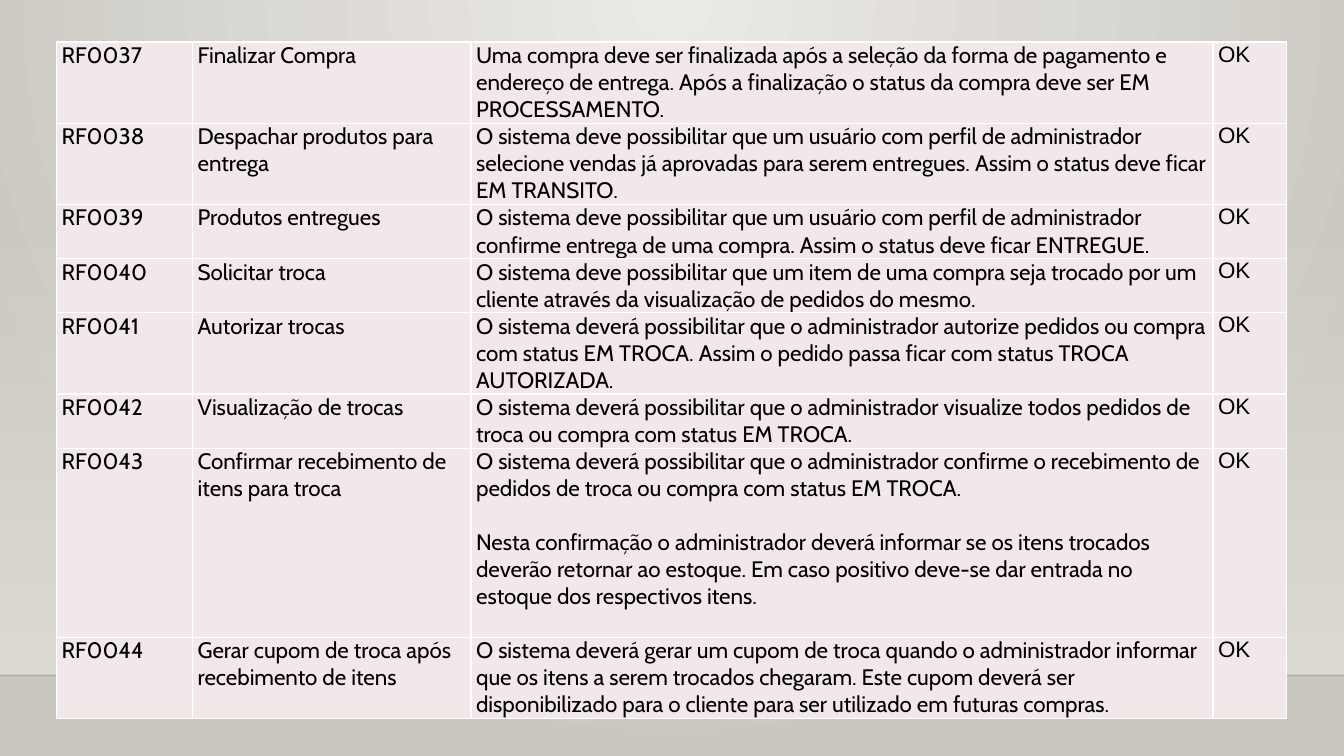
from lxml.etree import SubElement
from pptx import Presentation
from pptx.dml.color import RGBColor
from pptx.enum.shapes import MSO_CONNECTOR as Connector, MSO_SHAPE as Shape
from pptx.enum.text import MSO_ANCHOR as Anchor
from pptx.oxml import parse_xml
from pptx.oxml.ns import nsdecls, qn
from pptx.util import Pt

WIDTH, HEIGHT = 960, 540
FLOOR_TOP = 482.4
TABLE_LEFT, TABLE_TOP = 40.4, 30
COLUMNS = [97.2, 198.9, 530, 52.5]
LINE_HEIGHT = 19.3
FIRST_NUMBER = 37

# Title, paragraphs of the description, row height in text lines
REQUIREMENTS = [
    ("Finalizar Compra",
     ["Uma compra deve ser finalizada após a seleção da forma de pagamento e endereço de "
      "entrega. Após a finalização o status da compra deve ser EM PROCESSAMENTO."], 3),
    ("Despachar produtos para entrega",
     ["O sistema deve possibilitar que um usuário com perfil de administrador selecione vendas "
      "já aprovadas para serem entregues. Assim o status deve ficar EM TRANSITO."], 3),
    ("Produtos entregues",
     ["O sistema deve possibilitar que um usuário com perfil de administrador confirme entrega "
      "de uma compra. Assim o status deve ficar ENTREGUE."], 2),
    ("Solicitar troca",
     ["O sistema deve possibilitar que um item de uma compra seja trocado por um cliente "
      "através da visualização de pedidos do mesmo."], 2),
    ("Autorizar trocas",
     ["O sistema deverá possibilitar que o administrador autorize pedidos ou compra com status "
      "EM TROCA. Assim o pedido passa ficar com status TROCA AUTORIZADA."], 3),
    ("Visualização de trocas",
     ["O sistema deverá possibilitar que o administrador visualize todos pedidos de troca ou "
      "compra com status EM TROCA."], 2),
    ("Confirmar recebimento de itens para troca",
     ["O sistema deverá possibilitar que o administrador confirme o recebimento de pedidos de "
      "troca ou compra com status EM TROCA.",
      "Nesta confirmação o administrador deverá informar se os itens trocados deverão retornar "
      "ao estoque. Em caso positivo deve-se dar entrada no estoque dos respectivos itens."], 7),
    ("Gerar cupom de troca após recebimento de itens",
     ["O sistema deverá gerar um cupom de troca quando o administrador informar que os itens a "
      "serem trocados chegaram. Este cupom deverá ser disponibilizado para o cliente para ser "
      "utilizado em futuras compras."], 3),
]


def color(value):
    return RGBColor.from_string(value)


def set_gradient(fill, *colors):
    fill.gradient()
    for stop, value in zip(fill.gradient_stops, colors):
        stop.color.rgb = color(value)


def set_alpha(element, percent):
    """Make the first colour inside the element partly transparent."""
    first = next(element.iter(qn("a:srgbClr")))
    SubElement(first, qn("a:alpha")).set("val", str(percent * 1000))


def add_background(page):
    set_gradient(page.background.fill, "ECEAE7", "CAC7C1")
    linear = next(page._element.iter(qn("a:lin")))
    linear.getparent().replace(linear, parse_xml(
        f'<a:path {nsdecls("a")} path="circle">'
        '<a:fillToRect l="43000" t="0" r="43000" b="100000"/></a:path>'))


def add_wall(page, top, height):
    wall = page.shapes.add_shape(Shape.RECTANGLE, 0, Pt(top), Pt(WIDTH), Pt(height))
    wall.shadow.inherit = False
    wall.line.fill.background()
    set_gradient(wall.fill, "DFDBD5", "DFDBD5")
    wall.fill.gradient_angle = 270
    set_alpha(wall._element.spPr, 0)


def add_floor_line(page, top):
    line = page.shapes.add_connector(Connector.STRAIGHT, 0, Pt(top), Pt(WIDTH), Pt(top))
    line.line.width = Pt(1)
    line.line.color.rgb = color("000001")
    set_alpha(line._element.spPr, 20)
    SubElement(line._element.spPr, qn("a:effectLst"))


def write(box, paragraphs, font="Cabin", size=16, ink="000000", gap=LINE_HEIGHT):
    for index, text in enumerate(paragraphs):
        para = box.add_paragraph() if index else box.paragraphs[0]
        para.space_before = Pt(gap if index else 0)
        span = para.add_run()
        span.text = text
        span.font.name = font
        span.font.size = Pt(size)
        span.font.color.rgb = color(ink)


def style_cell(cell, fill="F3E8E9", border="FFFFFF"):
    cell.fill.solid()
    cell.fill.fore_color.rgb = color(fill)
    cell.vertical_anchor = Anchor.TOP
    cell.margin_left = cell.margin_right = Pt(3.6)
    cell.margin_top = cell.margin_bottom = 0
    properties = cell._tc.get_or_add_tcPr()
    for index, side in enumerate("LRTB"):
        properties.insert(index, parse_xml(
            f'<a:ln{side} {nsdecls("a")} w="{Pt(1)}"><a:solidFill>'
            f'<a:srgbClr val="{border}"/></a:solidFill></a:ln{side}>'))


def add_requirements(page):
    heights = [lines * LINE_HEIGHT for *_, lines in REQUIREMENTS]
    table = page.shapes.add_table(len(heights), len(COLUMNS), Pt(TABLE_LEFT), Pt(TABLE_TOP),
                                  Pt(sum(COLUMNS)), Pt(sum(heights))).table
    table.first_row = table.horz_banding = False
    for column, width in zip(table.columns, COLUMNS):
        column.width = Pt(width)
    for index, (title, description, _) in enumerate(REQUIREMENTS):
        row = table.rows[index]
        row.height = Pt(heights[index])
        texts = [[f"RF{FIRST_NUMBER + index:04}"], [title], description, ["OK"]]
        fonts = ["Cabin", "Cabin", "Cabin", "Arial"]
        for cell, paragraphs, font in zip(row.cells, texts, fonts):
            style_cell(cell)
            write(cell.text_frame, paragraphs, font=font)


def main():
    deck = Presentation()
    deck.slide_width, deck.slide_height = Pt(WIDTH), Pt(HEIGHT)
    page = deck.slides.add_slide(deck.slide_layouts[6])

    # Backdrop: wall fading down to the floor
    add_background(page)
    add_wall(page, top=159, height=FLOOR_TOP - 159)
    add_floor_line(page, FLOOR_TOP)

    # Table of functional requirements
    add_requirements(page)
    deck.save("out.pptx")


main()
